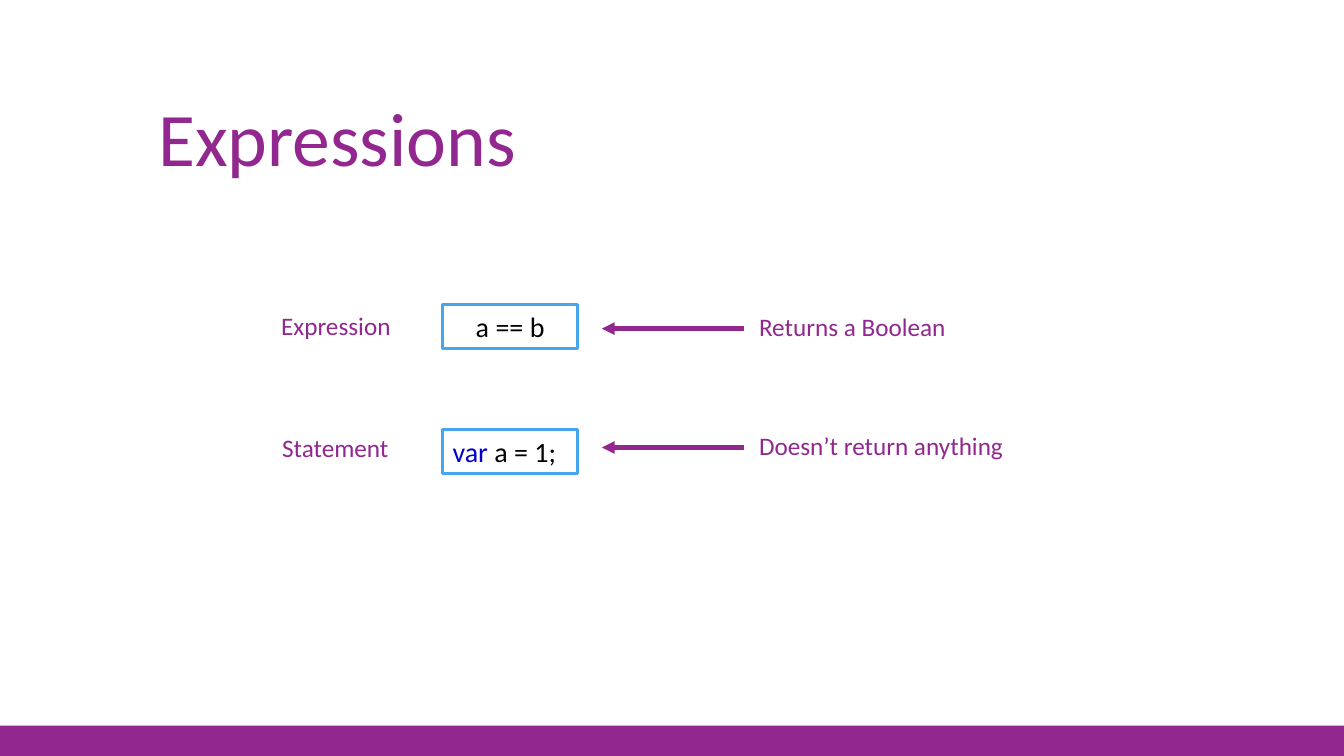
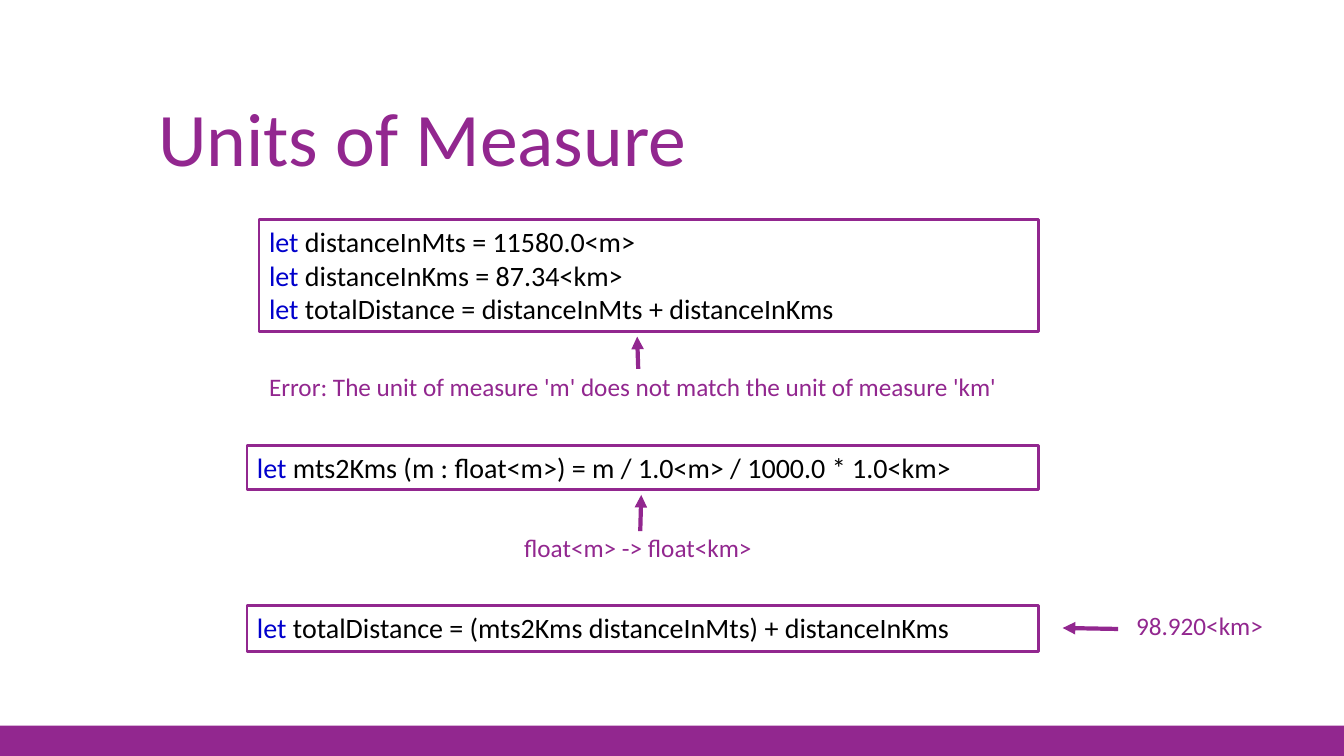
"""Build two slides on expressions and units of measure in code."""
from dataclasses import dataclass

from lxml import etree
from pptx import Presentation, util as u
from pptx.dml.color import RGBColor
from pptx.enum import shapes, text
from pptx.oxml.ns import qn

PX = 9144
WIDE, HIGH, BAND = 1333, 750, 30
FONT = "Calibri"
HUES = {
    "plum": "92278F",
    "sky": "45A5ED",
    "key": "0000CC",
    "ink": "000000",
    "paper": "FFFFFF",
}
KEYS = ("let", "var")
LEFT, MID = text.PP_ALIGN.LEFT, text.PP_ALIGN.CENTER
TOP, LOW = text.MSO_ANCHOR.TOP, text.MSO_ANCHOR.BOTTOM


@dataclass(frozen=True)
class Code:
    left: int
    top: int
    width: int
    height: int
    lines: tuple[str, ...]
    edge: str = "plum"
    align: text.PP_ALIGN = LEFT


@dataclass(frozen=True)
class Label:
    left: int
    top: int
    width: int
    words: str


@dataclass(frozen=True)
class Arrow:
    start: tuple[int, int]
    end: tuple[int, int]


@dataclass(frozen=True)
class Page:
    title: str
    marks: tuple[Code | Label | Arrow, ...]


def px(*nums: int) -> list[int]:
    return [u.Emu(num * PX) for num in nums]


def hue(name: str) -> RGBColor:
    return RGBColor.from_string(HUES[name])


def split(line: str) -> list[tuple[str, str]]:
    word, gap, rest = line.partition(" ")
    if word in KEYS:
        return [(word, "key"), (gap + rest, "ink")]
    return [(line, "ink")]


def write(shape, lines, *, size=18, color="plum", code=False, align=LEFT,
          anchor=TOP, wrap=False, lead=None) -> None:
    frame = shape.text_frame
    frame.word_wrap = wrap
    frame.vertical_anchor = anchor
    for num, line in enumerate(lines):
        para = frame.add_paragraph() if num else frame.paragraphs[0]
        para.alignment = align
        if lead:
            para.line_spacing = lead
        for words, tone in split(line) if code else [(line, color)]:
            run = para.add_run()
            run.text = words
            run.font.name = FONT
            run.font.size = u.Pt(size)
            run.font.color.rgb = hue(tone)


def block(slide, left: int, top: int, width: int, height: int,
          fill: str, edge: str | None = None):
    rect = slide.shapes.add_shape(
        shapes.MSO_SHAPE.RECTANGLE, *px(left, top, width, height))
    rect.shadow.inherit = False
    rect.fill.solid()
    rect.fill.fore_color.rgb = hue(fill)
    if edge:
        rect.line.color.rgb = hue(edge)
        rect.line.width = u.Pt(2)
    else:
        rect.line.fill.background()
    return rect


def code(slide, mark: Code) -> None:
    rect = block(slide, mark.left, mark.top, mark.width, mark.height,
                 "paper", mark.edge)
    write(rect, mark.lines, size=20, code=True, align=mark.align, wrap=True)


def label(slide, mark: Label) -> None:
    box = slide.shapes.add_textbox(*px(mark.left, mark.top, mark.width, 40))
    write(box, [mark.words])


def arrow(slide, mark: Arrow) -> None:
    line = slide.shapes.add_connector(
        shapes.MSO_CONNECTOR.STRAIGHT, *px(*mark.start, *mark.end))
    line.line.color.rgb = hue("plum")
    line.line.width = u.Pt(3)
    props = line.element.spPr
    tip = etree.SubElement(props.find(qn("a:ln")), qn("a:tailEnd"))
    tip.set("type", "triangle")
    etree.SubElement(props, qn("a:effectLst"))


DRAW = {Code: code, Label: label, Arrow: arrow}


def build(deck, page: Page) -> None:
    slide = deck.slides.add_slide(deck.slide_layouts[6])
    block(slide, 0, HIGH - BAND, WIDE, BAND, "plum")
    box = slide.shapes.add_textbox(*px(147, 51, 1040, 135))
    write(box, [page.title], size=54, anchor=LOW, wrap=True, lead=0.9)
    for mark in page.marks:
        DRAW[type(mark)](slide, mark)


PAGES = (
    Page("Expressions", (
        Code(439, 302, 134, 44, ("a == b",), "sky", MID),
        Arrow((738, 326), (597, 326)),
        Label(743, 304, 207, "Returns a Boolean"),
        Code(439, 426, 134, 44, ("var a = 1;",), "sky"),
        Arrow((738, 444), (597, 444)),
        Label(743, 422, 265, "Doesn’t return anything"),
        Label(269, 303, 130, "Expression"),
        Label(270, 424, 127, "Statement"),
    )),
    Page("Units of Measure", (
        Code(257, 218, 773, 111, (
            "let distanceInMts = 11580.0<m>",
            "let distanceInKms = 87.34<km>",
            "let totalDistance = distanceInMts + distanceInKms",
        )),
        Code(245, 442, 785, 44, (
            "let mts2Kms (m : float<m>) = m / 1.0<m> / 1000.0 * 1.0<km>",)),
        Arrow((633, 366), (632, 334)),
        Label(257, 363, 751, "Error: The unit of measure 'm' does not match "
                             "the unit of measure 'km'"),
        Code(245, 601, 785, 45, (
            "let totalDistance = (mts2Kms distanceInMts) + distanceInKms",)),
        Arrow((635, 527), (636, 491)),
        Label(510, 523, 249, "float<m> -> float<km>"),
        Arrow((1109, 624), (1054, 623)),
        Label(1117, 601, 147, "98.920<km>"),
    )),
)


def main() -> None:
    deck = Presentation()
    deck.slide_width, deck.slide_height = px(WIDE, HIGH)
    for page in PAGES:
        build(deck, page)
    deck.save("out.pptx")


if __name__ == "__main__":
    main()
